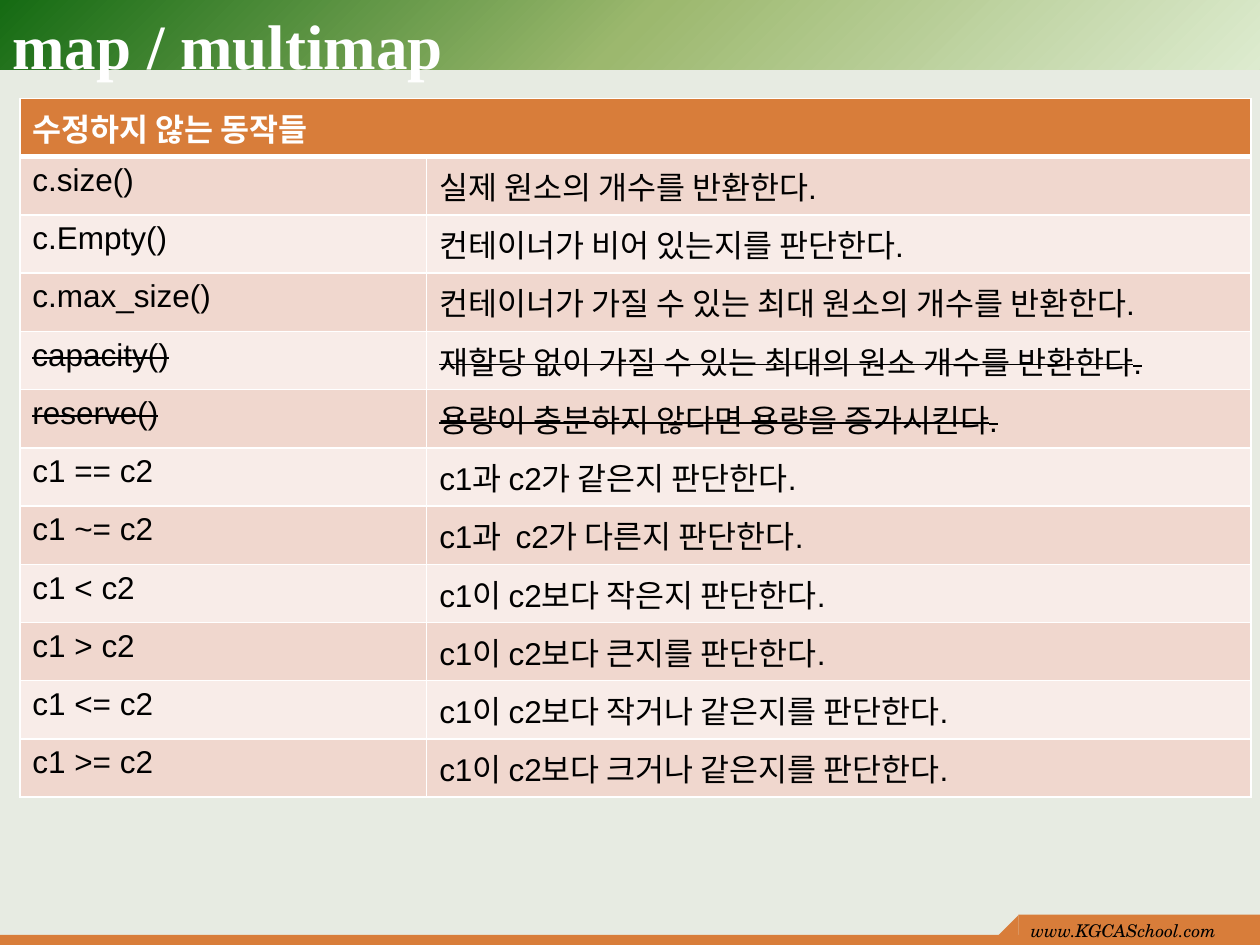
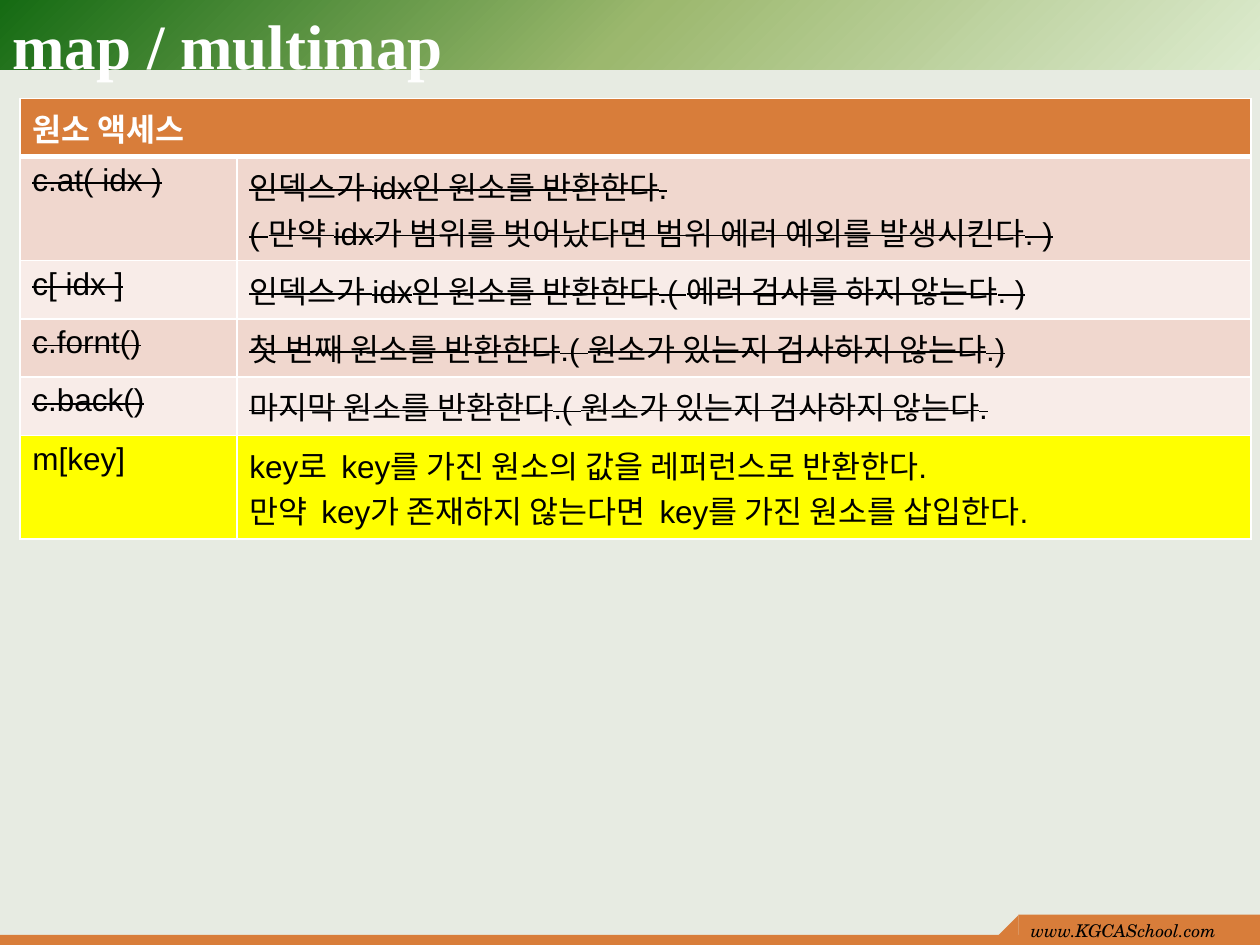
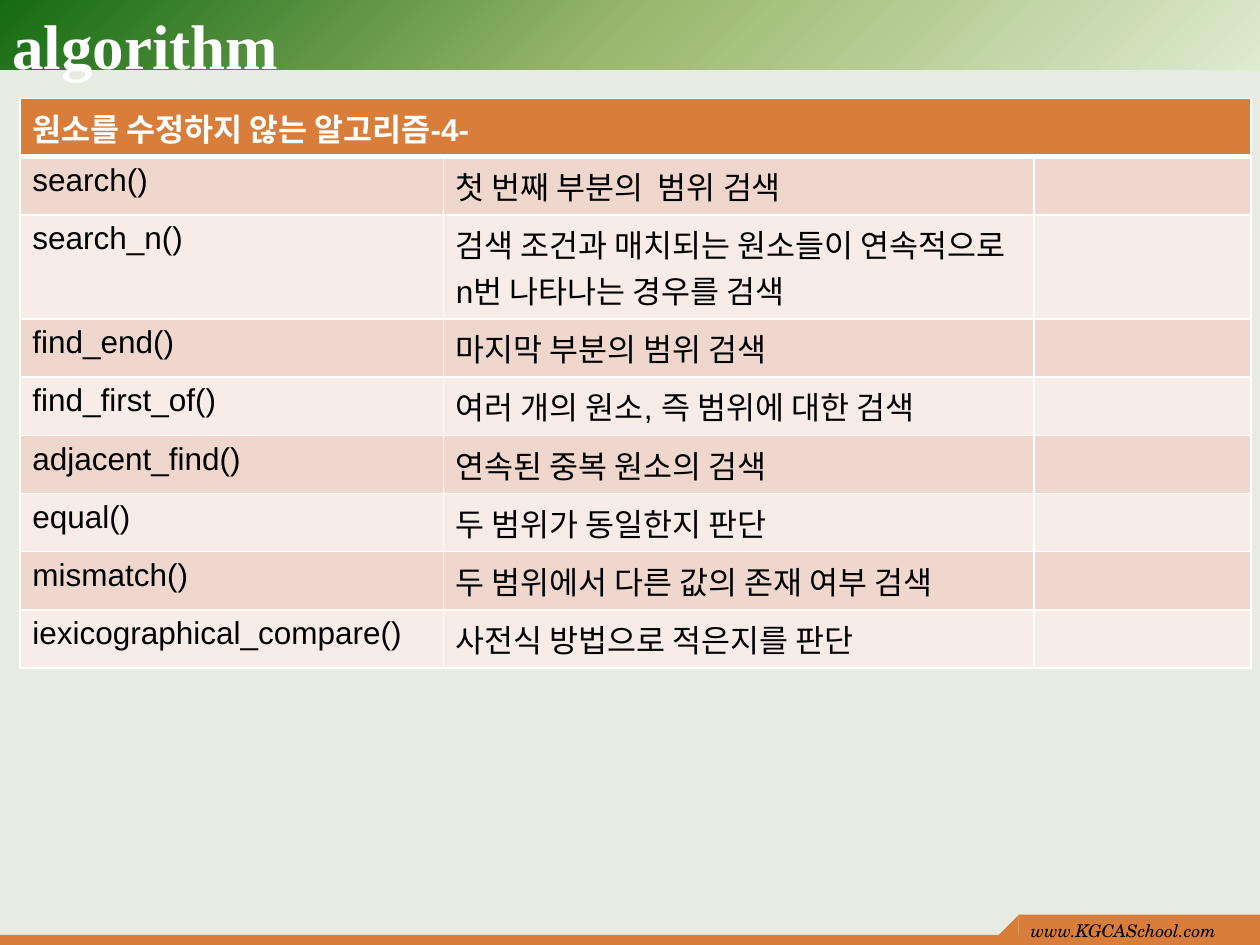
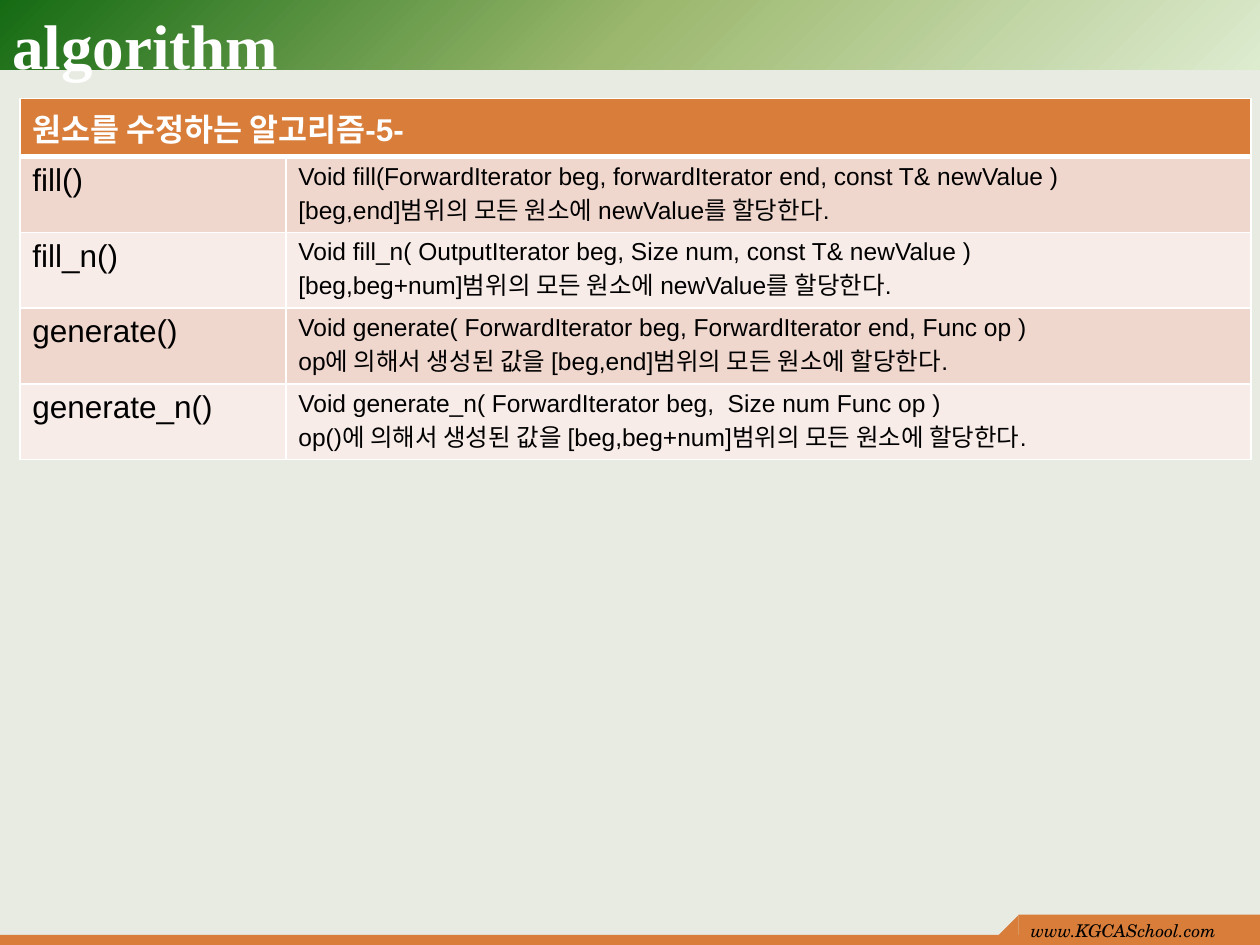
from dataclasses import dataclass

from lxml import etree
from pptx import Presentation
from pptx.dml.color import RGBColor
from pptx.enum.shapes import MSO_SHAPE
from pptx.enum.text import MSO_ANCHOR
from pptx.oxml import parse_xml
from pptx.oxml.ns import qn
from pptx.util import Pt

RECTANGLE = MSO_SHAPE.RECTANGLE
MIDDLE = MSO_ANCHOR.MIDDLE

PAGE = RGBColor(0xE7, 0xEB, 0xE2)
ORANGE = RGBColor(0xD8, 0x7D, 0x3A)
PINK = RGBColor(0xF0, 0xD7, 0xCE)
PALE_PINK = RGBColor(0xF8, 0xEC, 0xE8)
YELLOW = RGBColor(0xFF, 0xFF, 0x00)
WHITE = RGBColor(0xFF, 0xFF, 0xFF)
BLACK = RGBColor(0x00, 0x00, 0x00)
LIGHT_GREEN = RGBColor(0xDD, 0xEB, 0xCF)
MID_GREEN = RGBColor(0x9C, 0xB8, 0x6E)
DARK_GREEN = RGBColor(0x15, 0x6B, 0x13)

TITLE_FORMAT = {"name": "Times New Roman", "size": Pt(36), "bold": True}
SITE_FORMAT = {"name": "TeX Gyre Schola", "size": Pt(10), "italic": True}
HEADER_FORMAT = {"name": "Arial", "size": Pt(18), "bold": True}
BODY_FORMAT = {"name": "Arial", "size": Pt(18), "bold": False}
SMALL_FORMAT = {**BODY_FORMAT, "size": Pt(14)}

SLIDE_WIDTH, SLIDE_HEIGHT = 720, 540
BAND_BOX = (0, 0, SLIDE_WIDTH, 39.5)
TITLE_BOX = (0, 0, 648, 50.4)
FOOTER_BOX = (0, 522.6, SLIDE_WIDTH, 17.4)
TABLE_LEFT, TABLE_TOP = 11.3, 56.2
ROW_HEIGHT = 33.28


@dataclass
class Topic:
    title: str
    heading: str
    column_widths: list
    rows: list
    struck: tuple = ()
    highlighted: tuple = ()
    two_line: tuple = ()
    two_line_height: float = 59.4
    detail_format: dict = None


TOPICS = [
    Topic(
        "map / multimap", "수정하지 않는 동작들", [232.5, 471],
        [
            ("c.size()", "실제 원소의 개수를 반환한다."),
            ("c.Empty()", "컨테이너가 비어 있는지를 판단한다."),
            ("c.max_size()", "컨테이너가 가질 수 있는 최대 원소의 개수를 반환한다."),
            ("capacity()", "재할당 없이 가질 수 있는 최대의 원소 개수를 반환한다."),
            ("reserve()", "용량이 충분하지 않다면 용량을 증가시킨다."),
            ("c1 == c2", "c1과 c2가 같은지 판단한다."),
            ("c1 ~= c2", "c1과  c2가 다른지 판단한다."),
            ("c1 < c2", "c1이 c2보다 작은지 판단한다."),
            ("c1 > c2", "c1이 c2보다 큰지를 판단한다."),
            ("c1 <= c2", "c1이 c2보다 작거나 같은지를 판단한다."),
            ("c1 >= c2", "c1이 c2보다 크거나 같은지를 판단한다."),
        ],
        struck=(4, 5),
    ),
    Topic(
        "map / multimap", "원소 액세스", [124, 579.5],
        [
            ("c.at( idx )", "인덱스가 idx인 원소를 반환한다.\v"
             "( 만약 idx가 범위를 벗어났다면 범위 에러 예외를 발생시킨다. )"),
            ("c[ idx ]", "인덱스가 idx인 원소를 반환한다.( 에러 검사를 하지 않는다. )"),
            ("c.fornt()", "첫 번째 원소를 반환한다.( 원소가 있는지 검사하지 않는다.)"),
            ("c.back()", "마지막 원소를 반환한다.( 원소가 있는지 검사하지 않는다."),
            ("m[key]", "key로  key를 가진 원소의 값을 레퍼런스로 반환한다.\v"
             "만약  key가 존재하지 않는다면  key를 가진 원소를 삽입한다."),
        ],
        struck=(1, 2, 3, 4), highlighted=(5,), two_line=(1, 5),
    ),
    Topic(
        "algorithm", "원소를 수정하지 않는 알고리즘-4-", [242, 337.5, 124],
        [
            ("search()", "첫 번째 부분의  범위 검색"),
            ("search_n()", "검색 조건과 매치되는 원소들이 연속적으로 n번 나타나는 경우를 검색"),
            ("find_end()", "마지막 부분의 범위 검색"),
            ("find_first_of()", "여러 개의 원소, 즉 범위에 대한 검색"),
            ("adjacent_find()", "연속된 중복 원소의 검색"),
            ("equal()", "두 범위가 동일한지 판단"),
            ("mismatch()", "두 범위에서 다른 값의 존재 여부 검색"),
            ("iexicographical_compare()", "사전식 방법으로 적은지를 판단"),
        ],
        two_line=(2,),
    ),
    Topic(
        "algorithm", "원소를 수정하는 알고리즘-5-", [152, 551.5],
        [
            ("fill()", "Void fill(ForwardIterator beg, forwardIterator end, const T& newValue )\n"
             "[beg,end]범위의 모든 원소에 newValue를 할당한다."),
            ("fill_n()", "Void fill_n( OutputIterator beg, Size num, const T& newValue )\n"
             "[beg,beg+num]범위의 모든 원소에 newValue를 할당한다."),
            ("generate()", "Void generate( ForwardIterator beg, ForwardIterator end, Func op )\n"
             "op에 의해서 생성된 값을 [beg,end]범위의 모든 원소에 할당한다."),
            ("generate_n()", "Void generate_n( ForwardIterator beg,  Size num Func op )\n"
             "op()에 의해서 생성된 값을 [beg,beg+num]범위의 모든 원소에 할당한다."),
        ],
        two_line=(1, 2, 3, 4), two_line_height=43.3, detail_format=SMALL_FORMAT,
    ),
]


def points(*lengths):
    return [Pt(length) for length in lengths]


def write(frame, text, text_format, color, struck=False):
    frame.text = text
    for paragraph in frame.paragraphs:
        for run in paragraph.runs:
            for attribute, value in text_format.items():
                setattr(run.font, attribute, value)
            run.font.color.rgb = color
            if struck:
                run.font._element.set("strike", "sngStrike")


def add_label(slide, box, text, text_format, color, anchor=None):
    frame = slide.shapes.add_textbox(*points(*box)).text_frame
    frame.word_wrap = True
    frame.vertical_anchor = anchor
    write(frame, text, text_format, color)


def paint(shape, color):
    shape.shadow.inherit = False
    shape.fill.solid()
    shape.fill.fore_color.rgb = color
    shape.line.fill.background()


def add_title_band(slide, box):
    """Radial green band, light at its bottom right corner."""
    band = slide.shapes.add_shape(RECTANGLE, *points(*box))
    paint(band, MID_GREEN)
    stops = "".join(
        f'<a:gs pos="{position}"><a:srgbClr val="{color}"/></a:gs>'
        for position, color in ((0, LIGHT_GREEN), (50000, MID_GREEN), (100000, DARK_GREEN))
    )
    gradient = parse_xml(
        '<a:gradFill xmlns:a="http://schemas.openxmlformats.org/drawingml/2006/main" rotWithShape="1">'
        f'<a:gsLst>{stops}</a:gsLst>'
        '<a:path path="circle"><a:fillToRect l="100000" t="100000"/></a:path></a:gradFill>'
    )
    properties = band._element.spPr
    properties.replace(properties.find(qn("a:solidFill")), gradient)


def add_footer(slide, box):
    """Thin strip with a raised, bevelled tab for the site address."""
    left, top, width, height = box
    tab_width, tab_height, strip_height = 138, 12, 5.8
    tab_left = left + width - tab_width
    tab_bottom = top + tab_height
    strip = (left, top + height - strip_height, width, strip_height)
    tab = (tab_left, top, tab_width, tab_height)
    for part in (strip, tab):
        paint(slide.shapes.add_shape(RECTANGLE, *points(*part)), ORANGE)
    outline = slide.shapes.build_freeform(tab_left - tab_height, tab_bottom, scale=Pt(1))
    outline.add_line_segments([(tab_left, tab_bottom), (tab_left, top)], close=True)
    paint(outline.convert_to_shape(), ORANGE)
    add_label(slide, (tab_left, top - 0.6, tab_width, 18), "www.KGCASchool.com", SITE_FORMAT, BLACK)


def set_borders(cell, top=1, bottom=1):
    properties = cell._tc.get_or_add_tcPr()
    for side, weight in (("L", 1), ("R", 1), ("T", top), ("B", bottom)):
        line = etree.SubElement(properties, qn(f"a:ln{side}"), w=str(Pt(weight)))
        fill = etree.SubElement(line, qn("a:solidFill"))
        etree.SubElement(fill, qn("a:srgbClr"), val=str(WHITE))


def row_color(topic, index):
    if index == 0:
        return ORANGE
    if index in topic.highlighted:
        return YELLOW
    return PINK if index % 2 else PALE_PINK


def add_function_table(slide, left, top, topic):
    heights = [topic.two_line_height if index in topic.two_line else ROW_HEIGHT
               for index in range(len(topic.rows) + 1)]
    widths = topic.column_widths
    table = slide.shapes.add_table(
        len(heights), len(widths), *points(left, top, sum(widths), sum(heights))).table
    table.horz_banding = False
    for column, width in zip(table.columns, widths):
        column.width = Pt(width)
    for index, (row, height) in enumerate(zip(table.rows, heights)):
        row.height = Pt(height)
        for cell in row.cells:
            set_borders(cell, top=3 if index == 1 else 1, bottom=3 if index == 0 else 1)
            cell.fill.solid()
            cell.fill.fore_color.rgb = row_color(topic, index)

    header = table.cell(0, 0)
    header.merge(table.cell(0, len(widths) - 1))
    write(header.text_frame, topic.heading, HEADER_FORMAT, WHITE)
    formats = (BODY_FORMAT, topic.detail_format or BODY_FORMAT)
    for index, texts in enumerate(topic.rows, start=1):
        for column, (text, text_format) in enumerate(zip(texts, formats)):
            write(table.cell(index, column).text_frame, text, text_format, BLACK,
                  struck=index in topic.struck)


def add_topic_slide(deck, topic):
    slide = deck.slides.add_slide(deck.slide_layouts[6])
    add_title_band(slide, BAND_BOX)
    add_footer(slide, FOOTER_BOX)
    add_label(slide, TITLE_BOX, topic.title, TITLE_FORMAT, WHITE, MIDDLE)
    add_function_table(slide, TABLE_LEFT, TABLE_TOP, topic)


def main():
    deck = Presentation()
    deck.slide_width, deck.slide_height = points(SLIDE_WIDTH, SLIDE_HEIGHT)
    page_fill = deck.slide_master.background.fill
    page_fill.solid()
    page_fill.fore_color.rgb = PAGE
    for topic in TOPICS:
        add_topic_slide(deck, topic)
    deck.save("out.pptx")


if __name__ == "__main__":
    main()
